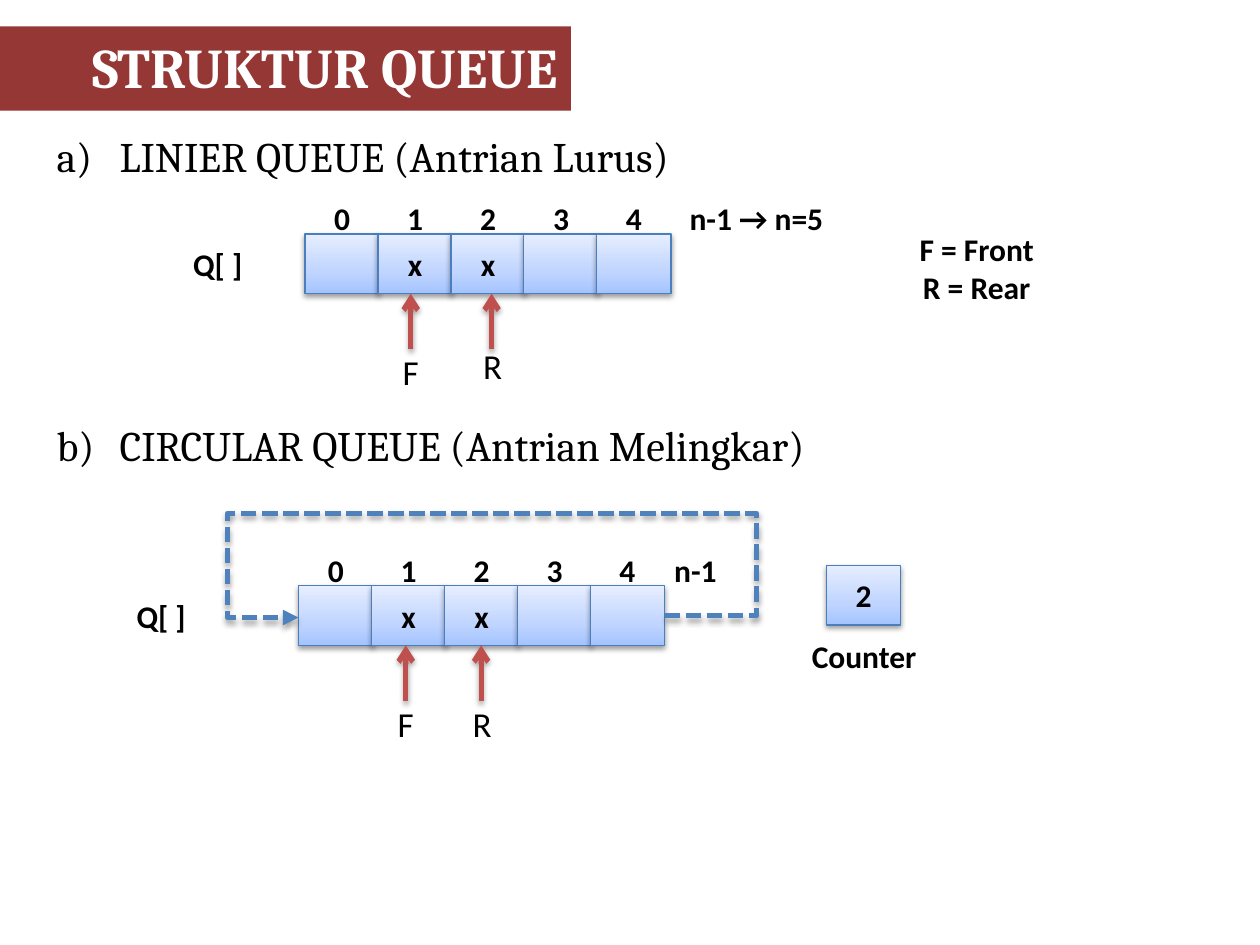
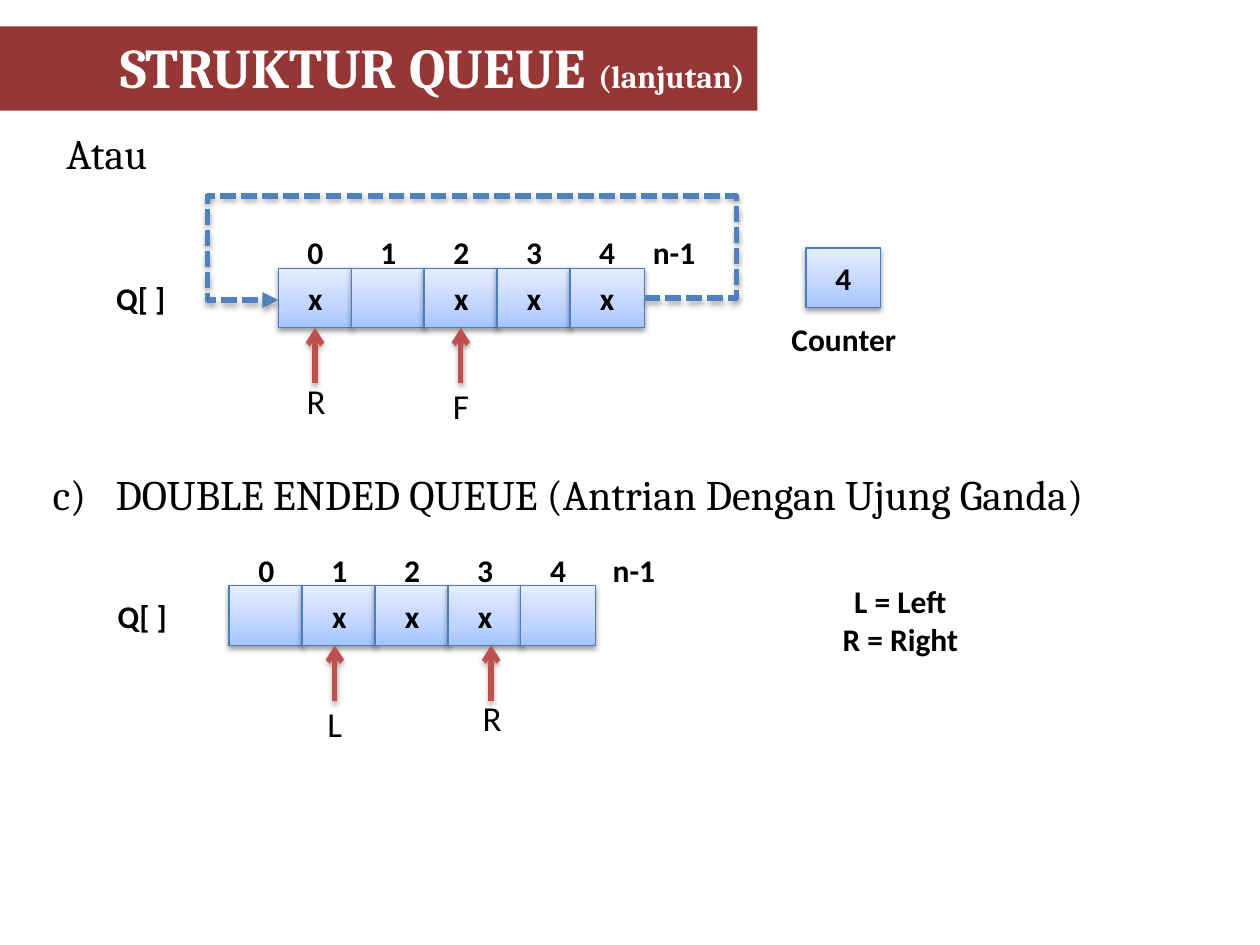
"""Build two slides that explain linear, circular and double ended queues."""
from copy import deepcopy

from pptx import Presentation
from pptx import oxml
from pptx import util as u
from pptx.dml.color import RGBColor
from pptx.enum import dml, shapes, text
from pptx.oxml import ns

BLACK = RGBColor(0x00, 0x00, 0x00)
WHITE = RGBColor(0xFF, 0xFF, 0xFF)
BAND_RED = RGBColor(0x95, 0x37, 0x35)
ARROW_RED = RGBColor(0xC0, 0x50, 0x4D)
LOOP_BLUE = RGBColor(0x4F, 0x81, 0xBD)
CELL_LINE = RGBColor(0x4B, 0x7E, 0xBC)
CELL_STOPS = [
    (0, RGBColor(0xA4, 0xC4, 0xFF)),
    (0.35, RGBColor(0xBF, 0xD4, 0xFF)),
    (1, RGBColor(0xE6, 0xEE, 0xFF)),
]
HEADING_FONT, BODY_FONT = "Cambria", "Calibri"
CELL_WIDTH, CELL_HEIGHT, CELL_PITCH = 1.5, 1.2, 1.47
LOOP_RISE, LOOP_DROP, LOOP_RIGHT, LOOP_LEFT = 2.06, 0.04, 1.85, 1.43
ROW_SPAN = 4 * CELL_PITCH + CELL_WIDTH
NO_BULLET = 0


def write(paragraph, content, font=BODY_FONT, size=18, color=BLACK, bold=True,
          align=text.PP_ALIGN.CENTER):
    paragraph.alignment = align
    run = paragraph.add_run()
    run.text = content
    run.font.name = font
    run.font.size = u.Pt(size)
    run.font.bold = bold
    run.font.color.rgb = color


def add_xml(parent, markup):
    parent.append(oxml.parse_xml(markup.replace(" ", f" {ns.nsdecls('a')} ", 1)))


def add_shadow(shape, distance, opacity):
    add_xml(shape.element.spPr, (
        f'<a:effectLst ><a:outerShdw blurRad="40000" dist="{distance}" dir="5400000" '
        f'rotWithShape="0"><a:srgbClr val="000000"><a:alpha val="{opacity}"/>'
        '</a:srgbClr></a:outerShdw></a:effectLst>'))


class QueueDeck:
    def __init__(self):
        self.presentation = Presentation()
        self.presentation.slide_width = u.Cm(25.4)
        self.presentation.slide_height = u.Cm(19.05)
        self.slide = None

    def new_slide(self, title, band_width, suffix=""):
        self.slide = self.presentation.slides.add_slide(self.presentation.slide_layouts[5])
        band = self.slide.shapes.title
        band.left, band.top = u.Cm(-1.9), u.Cm(0.53)
        band.width, band.height = u.Cm(band_width), u.Cm(1.7)
        band.fill.solid()
        band.fill.fore_color.rgb = BAND_RED
        frame = band.text_frame
        frame.auto_size = text.MSO_AUTO_SIZE.NONE
        frame.vertical_anchor = text.MSO_ANCHOR.TOP
        style = {"font": HEADING_FONT, "color": WHITE, "align": text.PP_ALIGN.RIGHT}
        write(frame.paragraphs[0], title, size=32, **style)
        if suffix:
            write(frame.paragraphs[0], suffix, size=18, **style)

    def text_box(self, left, top, width, height, wrap):
        box = self.slide.shapes.add_textbox(u.Cm(left), u.Cm(top), u.Cm(width), u.Cm(height))
        box.text_frame.word_wrap = wrap
        box.text_frame.auto_size = text.MSO_AUTO_SIZE.SHAPE_TO_FIT_TEXT
        return box.text_frame

    def heading(self, content, left, top, number=NO_BULLET):
        paragraph = self.text_box(left, top, 23.6, 1.28, True).paragraphs[0]
        write(paragraph, content, font=HEADING_FONT, size=24, bold=False,
              align=text.PP_ALIGN.LEFT)
        if number:
            properties = paragraph._p.get_or_add_pPr()
            properties.set("marL", str(u.Cm(1.27)))
            properties.set("indent", str(u.Cm(-1.27)))
            add_xml(properties, f'<a:buAutoNum type="alphaLcParenR" startAt="{number}"/>')

    def label(self, content, center, top, width=0.84, height=1.03, **style):
        frame = self.text_box(center - width / 2, top, width, height, False)
        for index, line in enumerate(content.split("\n")):
            paragraph = frame.add_paragraph() if index else frame.paragraphs[0]
            write(paragraph, line, **style)

    def cell(self, content, left, top):
        shape = self.slide.shapes.add_shape(
            shapes.MSO_SHAPE.RECTANGLE, u.Cm(left), u.Cm(top),
            u.Cm(CELL_WIDTH), u.Cm(CELL_HEIGHT))
        shape.fill.gradient()
        shape.fill.gradient_angle = 90
        stop_list = shape.element.spPr.find(".//" + ns.qn("a:gsLst"))
        stop_list.append(deepcopy(stop_list[0]))
        for stop, (position, color) in zip(shape.fill.gradient_stops, CELL_STOPS):
            stop.position = position
            stop.color.rgb = color
        shape.line.color.rgb = CELL_LINE
        shape.line.width = u.Pt(0.75)
        add_shadow(shape, 20000, 38000)
        if content:
            shape.text_frame.vertical_anchor = text.MSO_ANCHOR.MIDDLE
            write(shape.text_frame.paragraphs[0], content)

    def arrow(self, kind, start, end, color, head, dash=None):
        connector = self.slide.shapes.add_connector(
            kind, *(u.Cm(value) for value in (*start, *end)))
        connector.line.color.rgb = color
        connector.line.width = u.Pt(3)
        if dash:
            connector.line.dash_style = dash
        add_xml(connector.get_or_add_ln(), f'<a:tailEnd type="{head}"/>')
        add_shadow(connector, 23000, 35000)
        return connector

    def pointer(self, letter, x, top, gap):
        self.arrow(shapes.MSO_CONNECTOR.STRAIGHT, (x, top + 1.12), (x, top), ARROW_RED, "arrow")
        self.label(letter, x, top + gap, height=1.12, size=20, bold=False)

    def queue(self, left, top, values, name_center, end_label, end_center, end_width, pointers):
        self.label("Q[ ]", name_center, top + 0.1, 1.52)
        for index, value in enumerate(values):
            cell_left = left + index * CELL_PITCH
            self.cell(value, cell_left, top)
            self.label(str(index), cell_left + CELL_WIDTH / 2, top - 0.83)
        self.label(end_label, end_center, top - 0.83, end_width)
        for letter, offset, gap in pointers:
            self.pointer(letter, left + offset, top + CELL_HEIGHT, gap)

    def circular_queue(self, left, top, values, name_center, end_center, count, pointers):
        self.queue(left, top, values, name_center, "n-1", end_center, 1.37, pointers)
        self.cell(count, left + 10.64, top - 0.41)
        self.label("Counter", left + 11.4, top + 0.91, 2.64)
        middle = top + CELL_HEIGHT / 2
        loop = self.arrow(
            shapes.MSO_CONNECTOR.ELBOW, (left + ROW_SPAN, middle), (left, middle + LOOP_DROP),
            LOOP_BLUE, "triangle", dml.MSO_LINE.SQUARE_DOT)
        geometry = loop.element.spPr.find(ns.qn("a:prstGeom"))
        geometry.set("prst", "bentConnector5")
        for guides in geometry.findall(ns.qn("a:avLst")):
            geometry.remove(guides)
        ratios = (-LOOP_RIGHT / ROW_SPAN, -LOOP_RISE / LOOP_DROP, 1 + LOOP_LEFT / ROW_SPAN)
        guides = "".join(f'<a:gd name="adj{index}" fmla="val {round(ratio * 100000)}"/>'
                         for index, ratio in enumerate(ratios, 1))
        add_xml(geometry, f"<a:avLst >{guides}</a:avLst>")


def main():
    deck = QueueDeck()

    deck.new_slide("STRUKTUR QUEUE", 13.41)
    deck.heading("LINIER QUEUE (Antrian Lurus)", 0.89, 2.51, number=1)
    deck.queue(6.15, 4.72, ["", "x", "x", "", ""], 4.39, "n-1 → n=5", 15.25, 3.28,
               [("F", 2.13, 1.02), ("R", 3.76, 0.91)])
    deck.label("F = Front\nR = Rear", 19.69, 4.52, 2.84, 1.8)
    deck.heading("CIRCULAR QUEUE (Antrian Melingkar)", 0.89, 8.33, number=2)
    deck.circular_queue(6.02, 11.81, ["", "x", "x", "", ""], 3.25, 14.02, "2",
                        [("F", 2.16, 1.02), ("R", 3.68, 1.02)])

    deck.new_slide("STRUKTUR QUEUE ", 17.17, suffix="(lanjutan)")
    deck.heading("Atau", 1.09, 2.44)
    deck.circular_queue(5.61, 5.41, ["x", "", "x", "x", "x"], 2.84, 13.59, "4",
                        [("F", 3.68, 1.02), ("R", 0.74, 0.91)])
    deck.heading("DOUBLE ENDED QUEUE (Antrian Dengan Ujung Ganda)", 0.81, 9.32, number=3)
    deck.queue(4.62, 11.81, ["", "x", "x", "x", ""], 2.87, "n-1", 12.78, 1.37,
               [("L", 2.13, 1.02), ("R", 5.28, 0.91)])
    deck.label("L = Left\nR = Right", 18.15, 11.61, 2.84, 1.8)

    deck.presentation.save("out.pptx")


if __name__ == "__main__":
    main()
